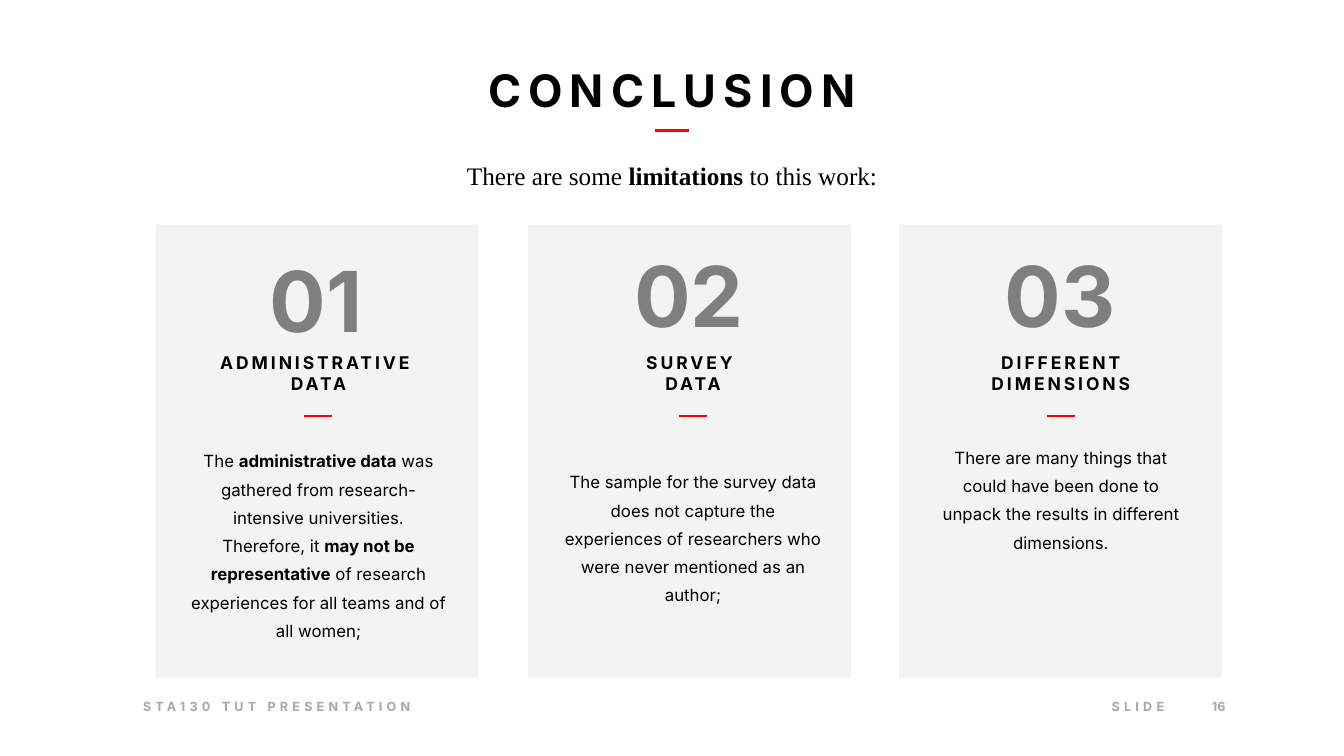
from lxml.etree import SubElement
from pptx import Presentation
from pptx.dml.color import RGBColor as Rgb
from pptx.enum.shapes import MSO_CONNECTOR as Connector, MSO_SHAPE as Shape
from pptx.enum.text import MSO_ANCHOR as Anchor, MSO_AUTO_SIZE as AutoSize, PP_ALIGN as Align
from pptx.oxml.ns import qn
from pptx.util import Pt

COLORS = {
    "ink": "000000",
    "accent": "FF0000",
    "card": "F3F3F3",
    "number": "7F7F7F",
    "footer": "A7A7A7",
}
SLIDE_WIDTH, SLIDE_HEIGHT = 1920, 1080
CARD_TOP, CARD_WIDTH, CARD_HEIGHT = 321, 461.5, 647
CARDS = [
    {"left": 222, "center": 233, "number_top": 34, "body_top": 312,
     "number": "01", "heading": ["ADMINISTRATIVE ", "DATA"],
     "body": "The *administrative data* was gathered from research-intensive universities. "
             "Therefore, it *may not be representative* of research experiences for all teams "
             "and of all women;"},
    {"left": 754.5, "center": 235.5, "number_top": 27.5, "body_top": 342,
     "number": "02", "heading": ["SURVEY ", "DATA"],
     "body": "The sample for the survey data does not capture the experiences of researchers "
             "who were never mentioned as an author;"},
    {"left": 1284.5, "center": 231, "number_top": 27.5, "body_top": 307,
     "number": "03", "heading": ["DIFFERENT", "DIMENSIONS"],
     "body": "There are many things that could have been done to unpack the results in "
             "different dimensions."},
]


def write(holder, paragraphs, size, color="ink", bold=False, font="Inter", tracking=0,
          align=Align.CENTER, anchor=Anchor.TOP, inset=0, wrap=True):
    frame = holder.text_frame
    frame.text = "\n".join(paragraphs)
    frame.word_wrap = wrap
    frame.auto_size = AutoSize.NONE
    frame.vertical_anchor = anchor
    frame.margin_left = frame.margin_right = Pt(inset)
    frame.margin_top = frame.margin_bottom = Pt(inset)
    for paragraph, wording in zip(frame.paragraphs, paragraphs):
        paragraph.alignment = align
        paragraph.space_before = Pt(0)
        first, *rest = wording.split("*")
        paragraph.runs[0].text = first
        for part in rest:
            paragraph.add_run().text = part
        for index, run in enumerate(paragraph.runs):
            run.font.name = font
            run.font.size = Pt(size)
            run.font.bold = bold or index % 2 == 1
            run.font.color.rgb = Rgb.from_string(COLORS[color])
            if tracking:
                run.font._element.set("spc", str(int(tracking * 100)))
    return frame


def place(holder, left, top, width, height):
    holder.left, holder.top = Pt(left), Pt(top)
    holder.width, holder.height = Pt(width), Pt(height)


def add_label(slide, box, paragraphs, size, **style):
    label = slide.shapes.add_textbox(*map(Pt, box))
    return write(label, paragraphs, size, **style)


def add_rule(slide, center, top, length, weight):
    rule = slide.shapes.add_connector(
        Connector.STRAIGHT, Pt(center - length / 2), Pt(top), Pt(center + length / 2), Pt(top))
    rule.line.color.rgb = Rgb.from_string(COLORS["accent"])
    rule.line.width = Pt(weight)
    SubElement(rule._element.spPr, qn("a:effectLst"))


def build_header(slide, left, top, width):
    title, intro = slide.shapes.title, slide.placeholders[1]
    place(title, left, top, width, 91.5)
    write(title, ["CONCLUSION"], 64, bold=True, tracking=10.2, anchor=Anchor.MIDDLE, inset=4)
    add_rule(slide, SLIDE_WIDTH / 2, top + 105, 48, 4.5)
    place(intro, left - 1, top + 147.5, width + 2, 76)
    frame = write(intro, ["There are some *limitations* to this work:"], 36,
                  font="Times New Roman")
    properties = frame.paragraphs[0]._p.get_or_add_pPr()
    properties.set("marL", "0")
    properties.set("indent", "0")
    SubElement(properties, qn("a:buNone"))


def build_card(slide, left, top, width, height, card):
    panel = slide.shapes.add_shape(Shape.RECTANGLE, Pt(left), Pt(top), Pt(width), Pt(height))
    panel.shadow.inherit = False
    panel.fill.solid()
    panel.fill.fore_color.rgb = Rgb.from_string(COLORS["card"])
    panel.line.fill.background()
    center = left + card["center"]
    add_label(slide, (left + 98, top + card["number_top"], 264, 144), [card["number"]], 120,
              color="number", bold=True)
    add_label(slide, (center - 141, top + 181.5, 282, 60), card["heading"], 25,
              bold=True, tracking=4.2)
    add_rule(slide, center, top + 273.5, 40, 3)
    body = add_label(slide, (center - 183.5, top + card["body_top"], 367, 232),
                     [card["body"]], 24)
    body.paragraphs[0].line_spacing = 1.4
    body.paragraphs[0].space_before = Pt(24)


def build_footer(slide, left, top, width):
    right = left + width
    style = {"color": "footer", "bold": True}
    add_label(slide, (left, top, 397, 22), ["STA130 TUT PRESENTATION"], 18,
              tracking=6, align=Align.LEFT, **style)
    add_label(slide, (right - 170, top, 88, 22), ["SLIDE "], 18,
              tracking=6, align=Align.RIGHT, **style)
    add_label(slide, (right - 29, top - 4.5, 29, 30), ["16"], 18,
              inset=4, wrap=False, **style)


deck = Presentation()
deck.slide_width, deck.slide_height = Pt(SLIDE_WIDTH), Pt(SLIDE_HEIGHT)
conclusion = deck.slides.add_slide(deck.slide_layouts[1])
build_header(conclusion, 205, 82, 1510)
for card in CARDS:
    build_card(conclusion, card["left"], CARD_TOP, CARD_WIDTH, CARD_HEIGHT, card)
build_footer(conclusion, 204.5, 998.5, 1551)
deck.save("out.pptx")
